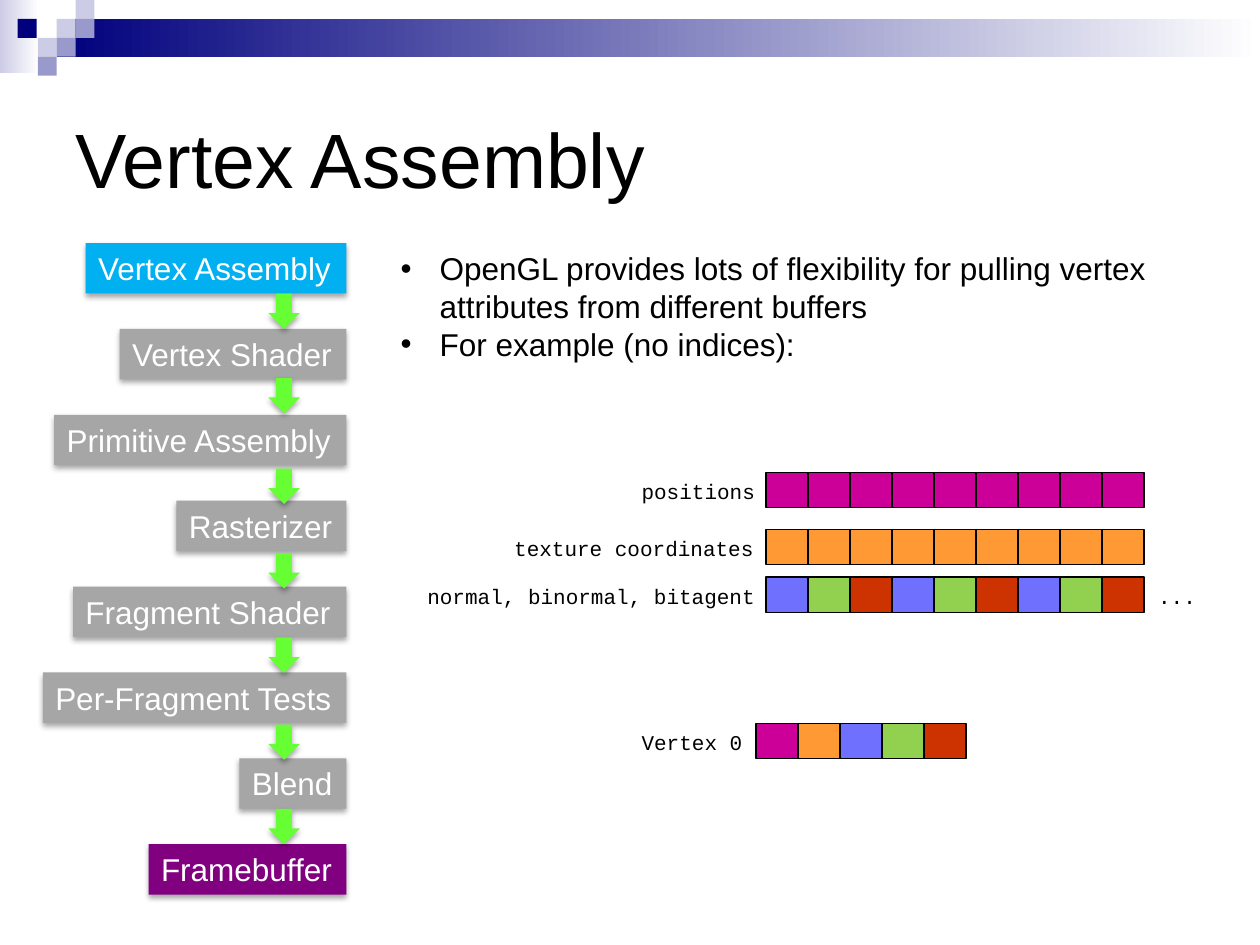
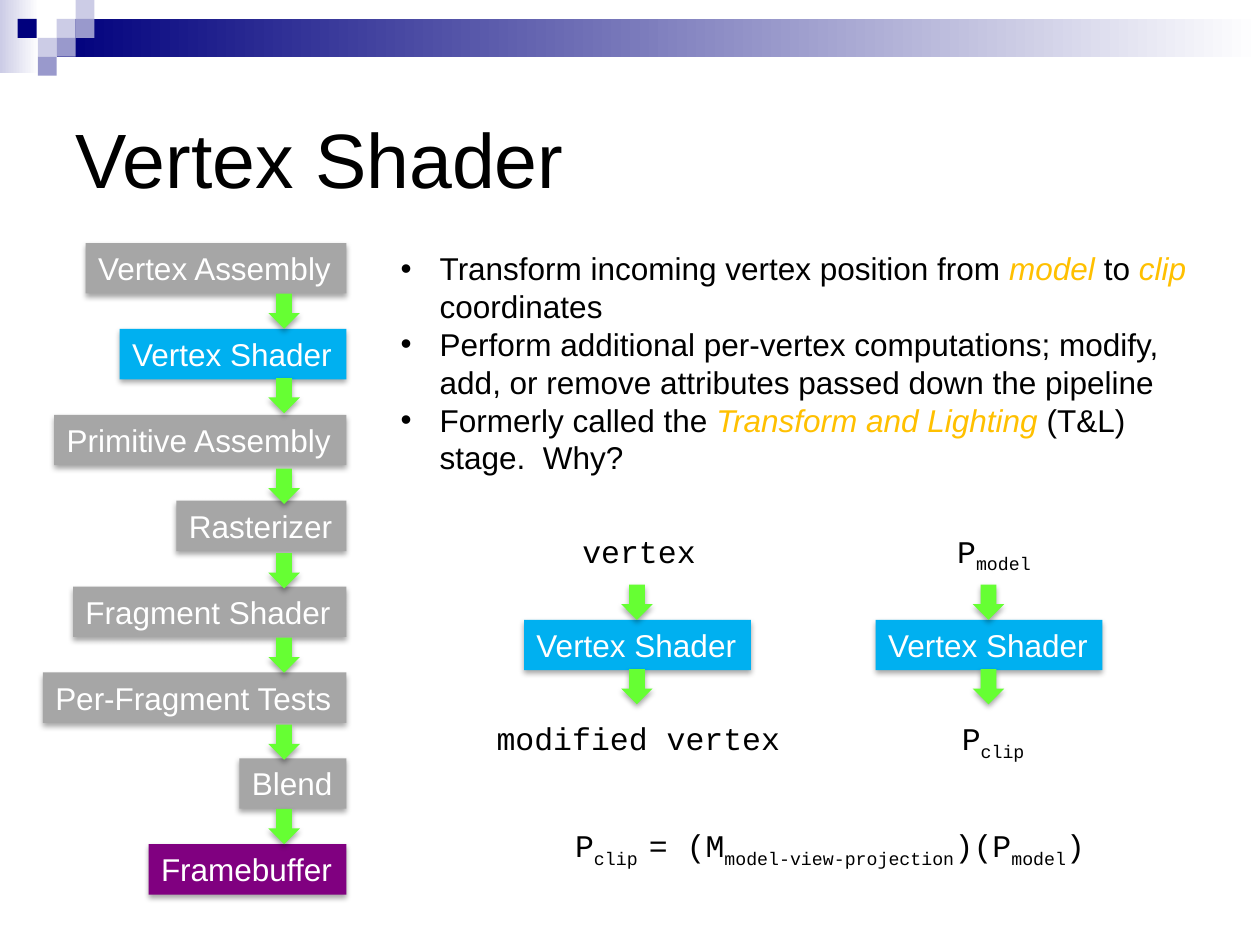
from pptx import Presentation
from pptx.dml.color import RGBColor
from pptx.enum.shapes import MSO_SHAPE
from pptx.enum.text import MSO_ANCHOR, MSO_AUTO_SIZE, PP_ALIGN
from pptx.oxml import parse_xml
from pptx.oxml.ns import nsdecls, qn
from pptx.util import Inches, Pt

COLORS = {
    "navy": "00007D", "lavender": "CCCCE6", "periwinkle": "9999CC",
    "white": "FFFFFF", "black": "000000", "emphasis": "FFC000",
    "stage": "A6A6A6", "active": "00B0F0", "framebuffer": "800080",
    "arrow": "66FF33", "position": "CC0099", "texture": "FF9933",
    "normal": "7070FF", "binormal": "92D050", "bitangent": "CC3300",
}
SANS, MONO = "Arial", "Courier New"

# Name, box width, top of the arrow that leaves the box
STAGES = [
    ("Vertex Assembly", 2.07, 2.33),
    ("Vertex Shader", 1.8, 3),
    ("Primitive Assembly", 2.32, 3.72),
    ("Rasterizer", 1.35, 4.39),
    ("Fragment Shader", 2.17, 5.06),
    ("Per-Fragment Tests", 2.41, 5.75),
    ("Blend", 0.85, 6.42),
    ("Framebuffer", 1.57, None),
]
PIPELINE_TOP, PIPELINE_BOTTOM, PIPELINE_RIGHT = 1.93, 6.7, 2.75
STAGE_PITCH = (PIPELINE_BOTTOM - PIPELINE_TOP) / (len(STAGES) - 1)
STAGE_HEIGHT = 0.4
CELL_WIDTH, CELL_HEIGHT = 1 / 3, 0.28

SQUARE = 0.15
BAND_SQUARES = [
    (0.45, 0.15, "lavender"), (0.6, 0, "lavender"), (0.6, 0.15, "periwinkle"),
    (0.3, 0.3, "lavender"), (0.14, 0.15, "navy"),
    (0.45, 0.3, "periwinkle"), (0.3, 0.45, "periwinkle"),
]


def rgb(name):
    return RGBColor.from_string(COLORS[name])


def add_block(slide, left, top, width, height, color, kind=MSO_SHAPE.RECTANGLE):
    """Add a plain filled shape with no line and no shadow."""
    block = slide.shapes.add_shape(
        kind, Inches(left), Inches(top), Inches(width), Inches(height))
    block.shadow.inherit = False
    block.fill.solid()
    block.fill.fore_color.rgb = rgb(color)
    block.line.fill.background()
    return block


def add_soft_shadow(block):
    effects = block.element.spPr.find(qn("a:effectLst"))
    effects.append(parse_xml(
        f'<a:outerShdw {nsdecls("a")} blurRad="40000" dist="23000" dir="5400000" '
        f'rotWithShape="0"><a:srgbClr val="{COLORS["black"]}">'
        '<a:alpha val="35000"/></a:srgbClr></a:outerShdw>'))


def add_runs(paragraph, runs, size, font=SANS, color="black"):
    """Add (text, style) runs; style is None, "em" or "sub"."""
    for text, style in runs:
        run = paragraph.add_run()
        run.text = text
        run.font.size = Pt(size)
        run.font.name = font
        run.font.color.rgb = rgb("emphasis" if style == "em" else color)
        if style == "em":
            run.font.italic = True
        elif style == "sub":
            run._r.get_or_add_rPr().set("baseline", "-25000")


def add_master_band(prs, slide):
    """Draw the top band and move it to the slide master, behind all else."""
    def gradient(left, top, width, height, start):
        strip = add_block(slide, left, top, width, height, start)
        strip.fill.gradient()
        strip.fill.gradient_angle = 0
        for stop, color in zip(strip.fill.gradient_stops, (start, "white")):
            stop.color.rgb = rgb(color)
        return strip

    band = [gradient(0, 0, 0.31, 0.58, "lavender"),
            gradient(0.45, 0.15, 9.55, 0.3, "navy")]
    band += [add_block(slide, left, top, SQUARE, SQUARE, color)
             for left, top, color in BAND_SQUARES]
    master_tree = prs.slide_master.element.cSld.spTree
    for position, part in enumerate(band, start=2):
        master_tree.insert(position, part.element)


def place(placeholder, left, top, width, height):
    placeholder.left, placeholder.top = Inches(left), Inches(top)
    placeholder.width, placeholder.height = Inches(width), Inches(height)
    placeholder.text_frame.auto_size = MSO_AUTO_SIZE.NONE


def set_title(slide, text):
    title = slide.shapes.title
    place(title, 0.5, 0.5, 9, 1.5)
    title.text_frame.vertical_anchor = MSO_ANCHOR.MIDDLE
    heading = title.text_frame.paragraphs[0]
    heading.alignment = PP_ALIGN.LEFT
    add_runs(heading, [(text, None)], 44)


def set_bullets(slide, bullets, height):
    body = slide.placeholders[1]
    place(body, 3.08, 1.93, 6.5, height)
    frame = body.text_frame
    for index, runs in enumerate(bullets):
        bullet = frame.add_paragraph() if index else frame.paragraphs[0]
        properties = bullet._p.get_or_add_pPr()
        properties.set("marL", str(Inches(0.31)))
        properties.set("indent", str(-Inches(0.31)))
        properties.append(parse_xml(f'<a:buChar {nsdecls("a")} char="•"/>'))
        bullet.space_before = Pt(0)
        add_runs(bullet, runs, 18)


def add_stage(slide, name, left, top, width, color):
    stage = add_block(slide, left, top, width, STAGE_HEIGHT, color)
    add_soft_shadow(stage)
    frame = stage.text_frame
    frame.word_wrap = False
    frame.vertical_anchor = MSO_ANCHOR.TOP
    frame.paragraphs[0].alignment = PP_ALIGN.LEFT
    add_runs(frame.paragraphs[0], [(name, None)], 18, color="white")


def add_flow_arrow(slide, left, top):
    add_soft_shadow(
        add_block(slide, left, top, 0.25, 0.28, "arrow", MSO_SHAPE.DOWN_ARROW))


def add_pipeline(slide, active):
    for index, (name, width, _) in enumerate(STAGES):
        color = "active" if name == active else "stage"
        if name == "Framebuffer":
            color = "framebuffer"
        add_stage(slide, name, PIPELINE_RIGHT - width,
                  PIPELINE_TOP + index * STAGE_PITCH, width, color)
    for *_, arrow_top in STAGES[:-1]:
        add_flow_arrow(slide, 2.13, arrow_top)


def add_code_label(slide, runs, left, top, width, size):
    label = slide.shapes.add_textbox(
        Inches(left), Inches(top), Inches(width), Inches(0.4 if size == 18 else 0.3))
    label.text_frame.word_wrap = False
    line = label.text_frame.paragraphs[0]
    line.alignment = PP_ALIGN.RIGHT
    add_runs(line, runs, size, MONO)


def add_buffer(slide, left, top, attributes):
    """Draw one outlined cell for each attribute."""
    for index, attribute in enumerate(attributes):
        cell = add_block(slide, left + index * CELL_WIDTH, top,
                         CELL_WIDTH, CELL_HEIGHT, attribute)
        cell.line.color.rgb = rgb("black")
        cell.line.width = Pt(0.75)


def add_shader_example(slide, left, incoming, outgoing):
    """Show a value going into and coming out of the vertex shader.

    Each value is (runs, left, width).
    """
    add_stage(slide, "Vertex Shader", left, 4.92, 1.8, "active")
    for arrow_top in (4.64, 5.31):
        add_flow_arrow(slide, left + 0.77, arrow_top)
    for (runs, label_left, width), top in ((incoming, 4.17), (outgoing, 5.66)):
        add_code_label(slide, runs, label_left, top, width, 18)


def start_slide(prs, title, bullets, bullets_height):
    slide = prs.slides.add_slide(prs.slide_layouts[1])
    set_title(slide, title)
    set_bullets(slide, bullets, bullets_height)
    add_pipeline(slide, title)
    return slide


def build_vertex_assembly(prs):
    slide = start_slide(prs, "Vertex Assembly", [
        [("OpenGL provides lots of flexibility for pulling vertex attributes "
          "from different buffers", None)],
        [("For example (no indices):", None)],
    ], 1.31)
    frame_attributes = ["normal", "binormal", "bitangent"]
    buffers = [
        ("positions", 4.97, 1.12, 6.08, 3.75, ["position"] * 9),
        ("texture coordinates", 3.95, 2.13, 6.08, 4.2, ["texture"] * 9),
        ("normal, binormal, bitagent", 3.14, 2.95, 6.08, 4.58, frame_attributes * 3),
        ("Vertex 0", 4.97, 1.02, 6, 5.74, ["position", "texture"] + frame_attributes),
    ]
    for name, name_left, name_width, left, top, attributes in buffers:
        add_code_label(slide, [(name, None)], name_left, top, name_width, 12)
        add_buffer(slide, left, top, attributes)
    add_code_label(slide, [("...", None)], 9.08, 4.58, 0.51, 12)
    return slide


def build_vertex_shader(prs):
    slide = start_slide(prs, "Vertex Shader", [
        [("Transform incoming vertex position from ", None), ("model", "em"),
         (" to ", None), ("clip", "em"), (" coordinates", None)],
        [("Perform additional per-vertex computations; modify, add, or remove "
          "attributes passed down the pipeline", None)],
        [("Formerly called the ", None), ("Transform and Lighting", "em"),
         (" (T&L) stage.  Why?", None)],
    ], 2.52)
    add_shader_example(slide, 4.16,
                       ([("vertex", None)], 4.51, 1.11),
                       ([("modified vertex", None)], 3.83, 2.46))
    add_shader_example(slide, 6.95,
                       ([("P", None), ("model", "sub")], 7.42, 0.86),
                       ([("P", None), ("clip", "sub")], 7.47, 0.76))
    add_code_label(slide, [
        ("P", None), ("clip ", "sub"), ("= (M", None),
        ("model-view-projection", "sub"), (")(P", None), ("model", "sub"), (")", None),
    ], 4, 6.51, 4.71, 18)


def main():
    prs = Presentation()
    prs.slide_width, prs.slide_height = Inches(10), Inches(7.5)
    first_slide = build_vertex_assembly(prs)
    add_master_band(prs, first_slide)
    build_vertex_shader(prs)
    prs.save("out.pptx")


if __name__ == "__main__":
    main()
